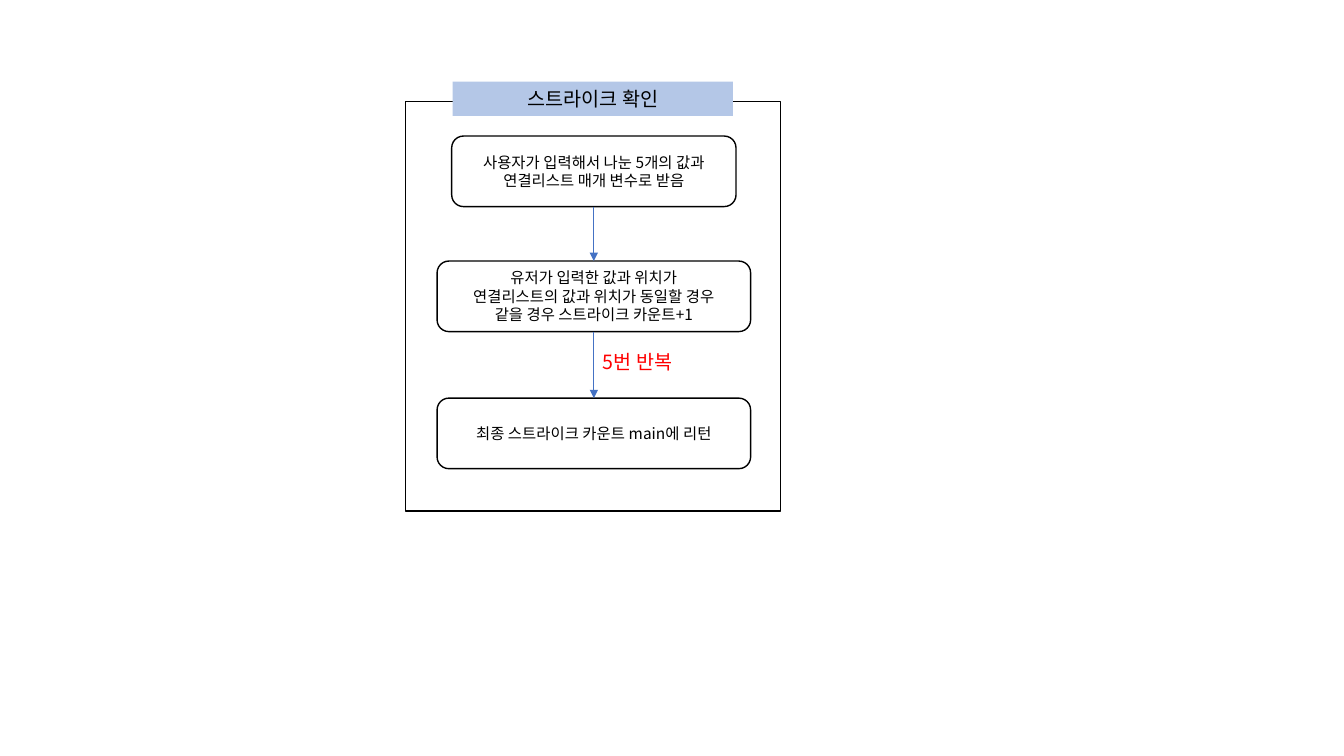
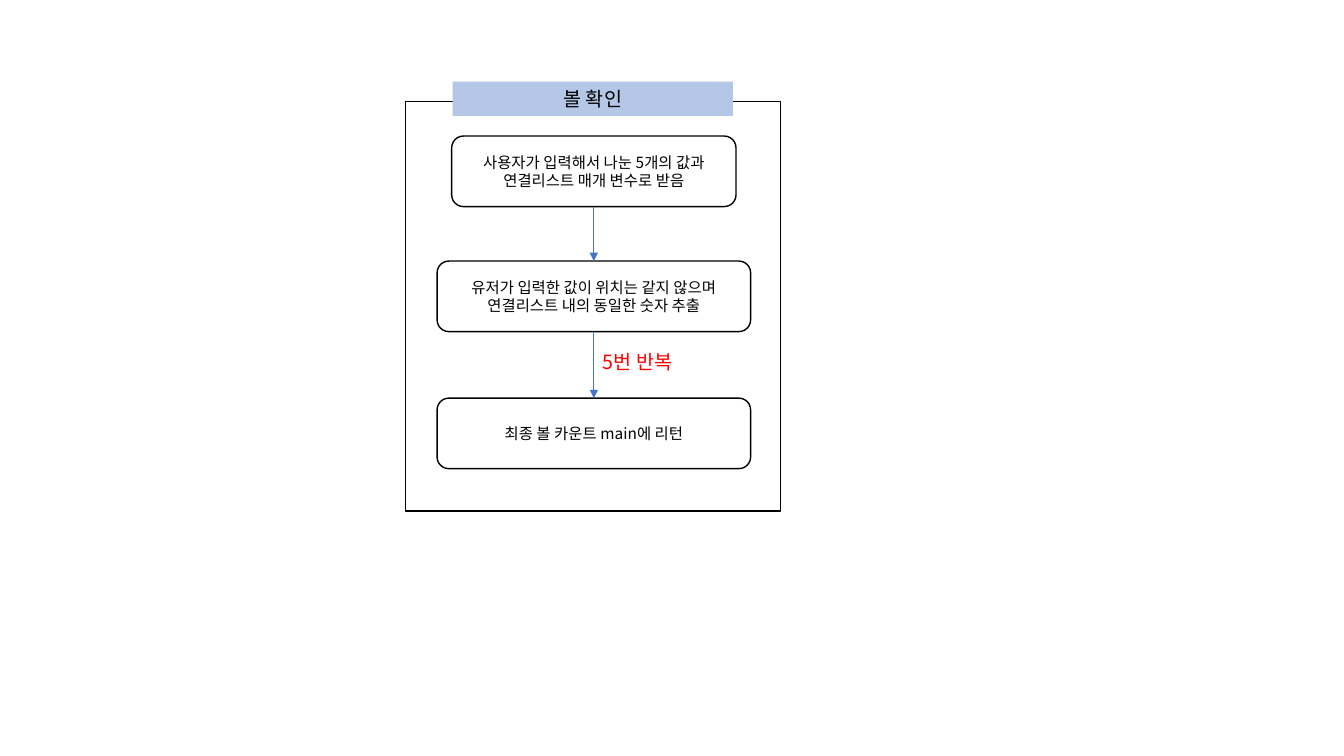
from lxml.etree import SubElement
from pptx import Presentation
from pptx.dml.color import RGBColor
from pptx.enum.shapes import MSO_CONNECTOR, MSO_SHAPE
from pptx.enum.text import MSO_ANCHOR, MSO_AUTO_SIZE, PP_ALIGN
from pptx.oxml.ns import qn
from pptx.util import Inches, Pt

FONT = "Noto Sans CJK KR"
BLACK = RGBColor(0, 0, 0)
RED = RGBColor(255, 0, 0)
BAND_BLUE = RGBColor(0xB4, 0xC7, 0xE7)
ARROW_BLUE = RGBColor(0x44, 0x72, 0xC4)

CENTER = 5.89
STEP_HEIGHT = 0.7
STEPS = [(1.35, 2.82), (2.59, 3.11), (3.95, 3.11)]

INPUT_STEP = ["사용자가 입력해서 나눈 5개의 값과 연결리스트 매개 변수로 받음"]
FLOWS = [
    ("스트라이크 확인", [
        INPUT_STEP,
        ["유저가 입력한 값과 위치가",
         "연결리스트의 값과 위치가 동일할 경우",
         "같을 경우 스트라이크 카운트+1"],
        ["최종 스트라이크 카운트 main에 리턴"],
    ]),
    ("볼 확인", [
        INPUT_STEP,
        ["유저가 입력한 값이 위치는 같지 않으며 연결리스트 내의 동일한 숫자 추출"],
        ["최종 볼 카운트 main에 리턴"],
    ]),
]


def set_attributes(target, values):
    for name, value in values.items():
        setattr(target, name, value)


def place(shape, left, top, width, height):
    set_attributes(shape, {
        "left": Inches(left), "top": Inches(top),
        "width": Inches(width), "height": Inches(height),
    })


def write(shape, lines, size, color=BLACK, align=PP_ALIGN.CENTER,
          anchor=MSO_ANCHOR.MIDDLE):
    frame = shape.text_frame
    set_attributes(frame, {
        "word_wrap": True, "auto_size": MSO_AUTO_SIZE.NONE,
        "vertical_anchor": anchor,
        "margin_left": Inches(0.1), "margin_right": Inches(0.1),
        "margin_top": Inches(0.05), "margin_bottom": Inches(0.05),
    })
    for index, line in enumerate(lines):
        para = frame.add_paragraph() if index else frame.paragraphs[0]
        para.alignment = align
        span = para.add_run()
        span.text = line
        set_attributes(span.font, {"name": FONT, "size": Pt(size)})
        span.font.color.rgb = color
        SubElement(span.font._element, qn("a:ea"), typeface=FONT)


def add_outline(page, kind, left, top, width, height):
    box = page.shapes.add_shape(kind, Inches(left), Inches(top),
                                Inches(width), Inches(height))
    box.shadow.inherit = False
    box.fill.background()
    box.line.color.rgb = BLACK
    box.line.width = Pt(1)
    return box


def add_title(page, text):
    title = page.shapes.title
    place(title, 4.49, 0.81, 2.78, 0.34)
    geometry = SubElement(title.element.spPr, qn("a:prstGeom"), prst="roundRect")
    SubElement(geometry, qn("a:avLst"))
    title.fill.solid()
    title.fill.fore_color.rgb = BAND_BLUE
    write(title, [text], 14)
    return title


def add_arrow(page, start, end):
    arrow = page.shapes.add_connector(MSO_CONNECTOR.STRAIGHT, Inches(CENTER),
                                      Inches(start), Inches(CENTER), Inches(end))
    arrow.line.color.rgb = ARROW_BLUE
    arrow.line.width = Pt(0.5)
    SubElement(arrow.line._get_or_add_ln(), qn("a:tailEnd"), type="triangle")
    SubElement(arrow.element.spPr, qn("a:effectLst"))


def add_repeat_label(page):
    label = page.shapes.add_textbox(Inches(5.88), Inches(3.42),
                                    Inches(1.21), Inches(0.34))
    write(label, ["5번 반복"], 14, RED, PP_ALIGN.LEFT, MSO_ANCHOR.TOP)


def add_flow(deck, heading, steps):
    page = deck.slides.add_slide(deck.slide_layouts[5])
    border = add_outline(page, MSO_SHAPE.RECTANGLE, 4.02, 1.01, 3.72, 4.06)
    title = add_title(page, heading)
    title.element.addprevious(border.element)
    for (top, width), lines in zip(STEPS, steps):
        step = add_outline(page, MSO_SHAPE.ROUNDED_RECTANGLE,
                           CENTER - width / 2, top, width, STEP_HEIGHT)
        write(step, lines, 11)
    for (top, _), (next_top, _) in zip(STEPS, STEPS[1:]):
        add_arrow(page, top + STEP_HEIGHT, next_top)
    add_repeat_label(page)


def main():
    deck = Presentation()
    set_attributes(deck, {"slide_width": Inches(13.33), "slide_height": Inches(7.5)})
    for heading, steps in FLOWS:
        add_flow(deck, heading, steps)
    deck.save("out.pptx")


main()
